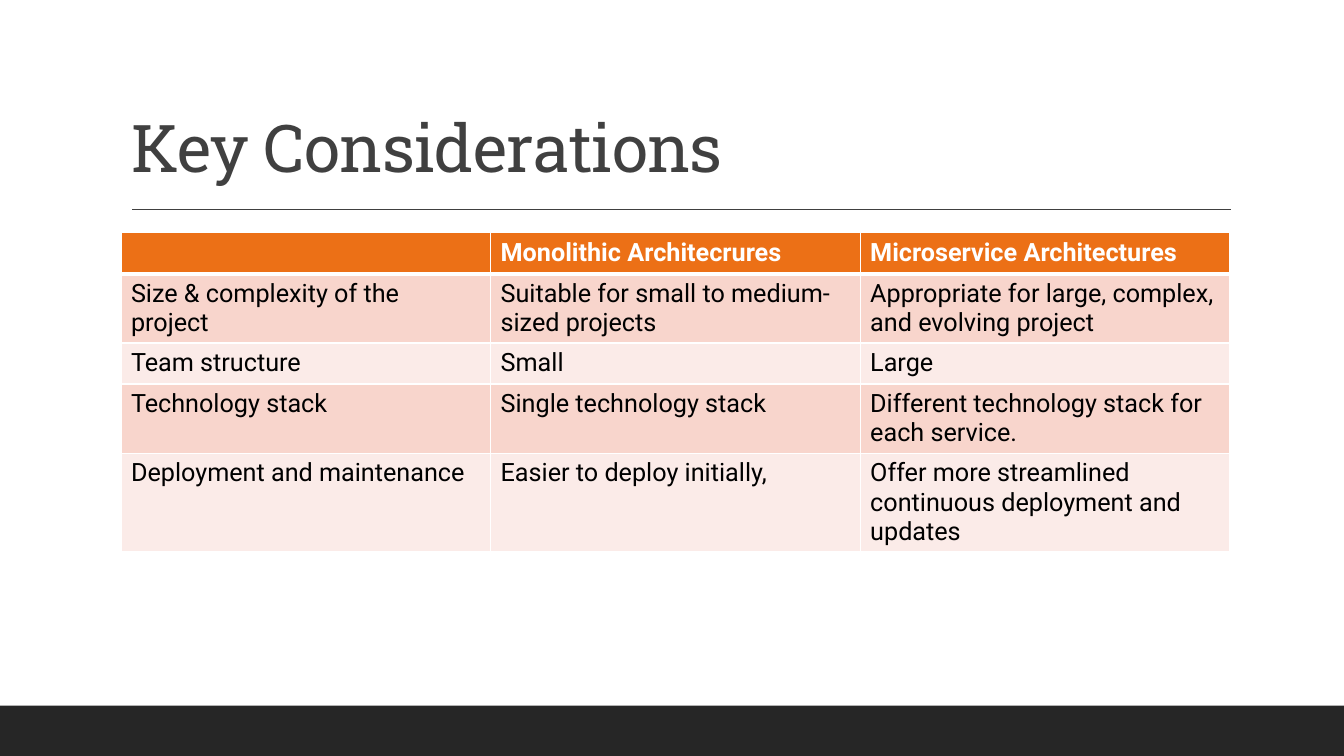
from dataclasses import dataclass

from lxml import etree
from pptx import Presentation
from pptx.dml.color import RGBColor
from pptx.enum.shapes import MSO_CONNECTOR, MSO_SHAPE
from pptx.enum.text import MSO_ANCHOR, MSO_AUTO_SIZE, PP_ALIGN
from pptx.oxml.ns import qn
from pptx.util import Inches, Pt

STRAIGHT = MSO_CONNECTOR.STRAIGHT
RECTANGLE = MSO_SHAPE.RECTANGLE
BOTTOM = MSO_ANCHOR.BOTTOM
NO_AUTOFIT = MSO_AUTO_SIZE.NONE
LEFT = PP_ALIGN.LEFT

SLIDE_WIDTH = Inches(13.33)
SLIDE_HEIGHT = Inches(7.5)
GRID_COLUMNS = 40
GRID_ROWS = 75
TITLE_ONLY_LAYOUT = 5
TABLE_ROW_HEIGHT = 4.06


@dataclass(frozen=True)
class Theme:
    title_font: str = "Roboto Slab"
    body_font: str = "Roboto"
    title_size: float = 47
    body_size: float = 18
    title_color: str = "404040"
    footer_color: str = "262626"
    header_fill: str = "EC7016"
    header_text: str = "FFFFFF"
    body_text: str = "000000"
    band_fills: tuple[str, str] = ("F8D5CC", "FBEBE8")
    border_color: str = "FFFFFF"
    thin_line: float = 1
    thick_line: float = 3


@dataclass(frozen=True)
class Box:
    column: float
    row: float
    columns: float
    rows: float

    def edges(self) -> tuple[int, int, int, int]:
        return (across(self.column), down(self.row),
                across(self.columns), down(self.rows))


@dataclass(frozen=True)
class Consideration:
    topic: str
    monolithic: str
    microservice: str

    def texts(self) -> tuple[str, str, str]:
        return self.topic, self.monolithic, self.microservice


THEME = Theme()
TITLE_BOX = Box(3.6, 3.1, 33, 15.9)
RULE_BOX = Box(3.93, 20.8, 32.7, 0)
TABLE_BOX = Box(3.6, 23.1, 33, 32.1)
FOOTER_BOX = Box(0, 70, GRID_COLUMNS, 5)

CONSIDERATIONS = (
    Consideration("", "Monolithic Architecrures", "Microservice Architectures"),
    Consideration("Size & complexity of the project",
                  "Suitable for small to medium-sized projects",
                  "Appropriate for large, complex, and evolving project"),
    Consideration("Team structure", "Small", "Large"),
    Consideration("Technology stack", "Single technology stack",
                  "Different technology stack for each service."),
    Consideration("Deployment and maintenance", "Easier to deploy initially,",
                  "Offer more streamlined continuous deployment and updates"),
)


def across(columns: float) -> int:
    return round(SLIDE_WIDTH * columns / GRID_COLUMNS)


def down(rows: float) -> int:
    return round(SLIDE_HEIGHT * rows / GRID_ROWS)


def color(value: str) -> RGBColor:
    return RGBColor.from_string(value)


def set_font(paragraph, name: str, size: float, text_color: str, bold: bool = False) -> None:
    font = paragraph.font
    font.name = name
    font.size = Pt(size)
    font.bold = bold
    font.color.rgb = color(text_color)


def add_title(slide, text: str) -> None:
    title = slide.shapes.title
    title.left, title.top, title.width, title.height = TITLE_BOX.edges()
    frame = title.text_frame
    frame.text = text
    frame.auto_size = NO_AUTOFIT
    frame.word_wrap = True
    frame.vertical_anchor = BOTTOM
    paragraph = frame.paragraphs[0]
    paragraph.alignment = LEFT
    paragraph.line_spacing = 0.9
    set_font(paragraph, THEME.title_font, THEME.title_size, THEME.title_color)
    paragraph.runs[0]._r.get_or_add_rPr().set("spc", "-50")


def add_footer_bar(slide) -> None:
    bar = slide.shapes.add_shape(RECTANGLE, *FOOTER_BOX.edges())
    bar.shadow.inherit = False
    bar.fill.solid()
    bar.fill.fore_color.rgb = color(THEME.footer_color)
    bar.line.fill.background()


def add_title_rule(slide) -> None:
    left, top, width, height = RULE_BOX.edges()
    rule = slide.shapes.add_connector(STRAIGHT, left, top, left + width, top + height)
    rule.line.color.rgb = color(THEME.title_color)
    rule.line.width = Pt(THEME.thin_line)
    etree.SubElement(rule._element.spPr, qn("a:effectLst"))


def set_borders(cell, top: float, bottom: float) -> None:
    widths = {"a:lnL": THEME.thin_line, "a:lnR": THEME.thin_line,
              "a:lnT": top, "a:lnB": bottom}
    properties = cell._tc.get_or_add_tcPr()
    for position, (tag, width) in enumerate(widths.items()):
        border = etree.Element(qn(tag), w=str(Pt(width)))
        fill = etree.SubElement(border, qn("a:solidFill"))
        etree.SubElement(fill, qn("a:srgbClr"), val=THEME.border_color)
        properties.insert(position, border)


def format_cell(cell, text: str, row_index: int) -> None:
    is_header = row_index == 0
    cell.text = text
    set_font(cell.text_frame.paragraphs[0], THEME.body_font, THEME.body_size,
             THEME.header_text if is_header else THEME.body_text, is_header)
    cell.fill.solid()
    band = THEME.band_fills[(row_index - 1) % 2]
    cell.fill.fore_color.rgb = color(THEME.header_fill if is_header else band)
    set_borders(cell,
                top=THEME.thick_line if row_index == 1 else THEME.thin_line,
                bottom=THEME.thick_line if is_header else THEME.thin_line)


def add_considerations_table(slide) -> None:
    column_count = len(CONSIDERATIONS[0].texts())
    frame = slide.shapes.add_table(len(CONSIDERATIONS), column_count, *TABLE_BOX.edges())
    table = frame.table
    for row_index, consideration in enumerate(CONSIDERATIONS):
        table.rows[row_index].height = down(TABLE_ROW_HEIGHT)
        for column_index, text in enumerate(consideration.texts()):
            format_cell(table.cell(row_index, column_index), text, row_index)
    frame.height = down(TABLE_BOX.rows)


def main() -> None:
    presentation = Presentation()
    presentation.slide_width = SLIDE_WIDTH
    presentation.slide_height = SLIDE_HEIGHT
    slide = presentation.slides.add_slide(presentation.slide_layouts[TITLE_ONLY_LAYOUT])
    add_footer_bar(slide)
    add_title_rule(slide)
    add_title(slide, "Key Considerations")
    add_considerations_table(slide)
    presentation.save("out.pptx")


if __name__ == "__main__":
    main()
